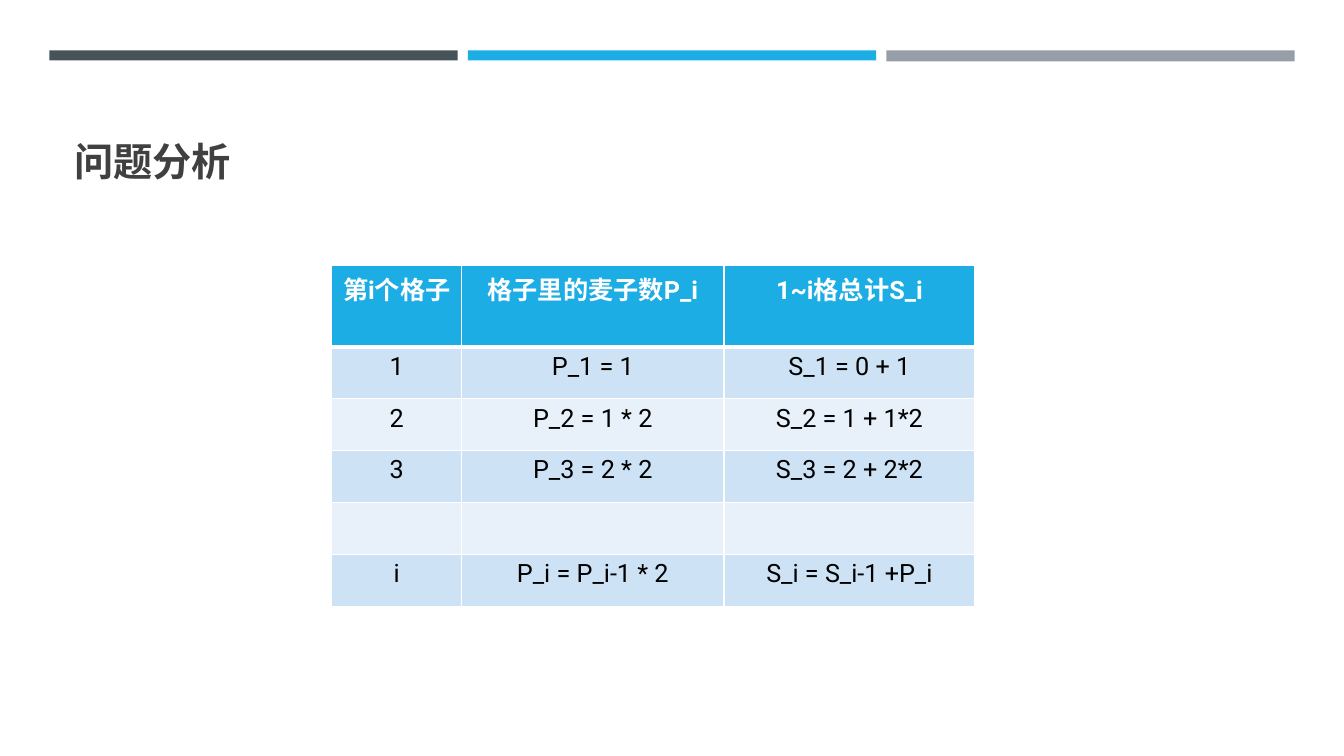
"""Builds the slide that analyses the wheat grains on a board."""
from lxml.etree import SubElement
from pptx import Presentation
from pptx.dml.color import RGBColor
from pptx.enum.shapes import MSO_SHAPE
from pptx.enum.text import MSO_ANCHOR, PP_ALIGN
from pptx.oxml import parse_xml
from pptx.oxml.ns import nsdecls, qn
from pptx.util import Inches, Pt

SLATE = RGBColor(0x46, 0x53, 0x59)
BLUE = RGBColor(0x1C, 0xAD, 0xE4)
GREY = RGBColor(0x96, 0x9F, 0xA7)
INK = RGBColor(0x40, 0x40, 0x40)
WHITE = RGBColor(0xFF, 0xFF, 0xFF)
BLACK = RGBColor(0, 0, 0)
MID = RGBColor(0xCD, 0xE3, 0xF5)
PALE = RGBColor(0xE8, 0xF1, 0xFA)
HAN = "Noto Sans CJK SC"


def write(frame, text, size=18, font="Roboto", color=BLACK, bold=False, align=PP_ALIGN.CENTER):
    para = frame.paragraphs[0]
    para.alignment = align
    run = para.add_run()
    run.text = text
    run.font.size = Pt(size)
    run.font.name = font
    run.font.bold = bold
    run.font.color.rgb = color
    SubElement(run.font._element, qn("a:ea")).set("typeface", HAN)


def edge(cell, widths):
    props = cell._tc.get_or_add_tcPr()
    for spot, (side, width) in enumerate(zip("LRTB", widths)):
        props.insert(spot, parse_xml(
            f'<a:ln{side} {nsdecls("a")} w="{Pt(width)}"><a:solidFill>'
            f'<a:srgbClr val="{WHITE}"/></a:solidFill></a:ln{side}>'))


deck = Presentation()
deck.slide_width, deck.slide_height = Inches(13.33), Inches(7.5)
slide = deck.slides.add_slide(deck.slide_layouts[6])

for i, (color, height) in enumerate([(SLATE, 0.1), (BLUE, 0.1), (GREY, 0.11)]):
    bar = slide.shapes.add_shape(MSO_SHAPE.RECTANGLE, Inches(0.49 + i * 4.15), Inches(0.5),
                                 Inches(4.05), Inches(height))
    bar.shadow.inherit = False
    bar.fill.solid()
    bar.fill.fore_color.rgb = color
    bar.line.fill.background()

title = slide.shapes.add_textbox(Inches(0.64), Inches(0.8), Inches(12.06), Inches(1.08)).text_frame
title.word_wrap = True
title.vertical_anchor = MSO_ANCHOR.BOTTOM
write(title, "问题分析", size=28, font=HAN, color=INK, bold=True, align=PP_ALIGN.LEFT)

rows = [
    ("第i个格子", "格子里的麦子数P_i", "1~i格总计S_i"),
    ("1", "P_1 = 1", "S_1 = 0 + 1"),
    ("2", "P_2 = 1 * 2", "S_2 = 1 + 1*2"),
    ("3", "P_3 = 2 * 2", "S_3 = 2 + 2*2"),
    ("", "", ""),
    ("i", "P_i = P_i-1 * 2", "S_i = S_i-1 +P_i"),
]
grid = slide.shapes.add_table(len(rows), 3, Inches(3.29), Inches(2.63),
                              Inches(6.38), Inches(3.09)).table
grid.rows[0].height = Inches(0.81)
for col, width in zip(grid.columns, (1.29, 2.6, 2.49)):
    col.width = Inches(width)

for r, row in enumerate(rows):
    head = r == 0
    for c, text in enumerate(row):
        cell = grid.cell(r, c)
        edge(cell, (1, 1, 3 if r == 1 else 1, 3 if head else 1))
        cell.fill.solid()
        cell.fill.fore_color.rgb = BLUE if head else MID if r % 2 else PALE
        if text:
            write(cell.text_frame, text, color=WHITE if head else BLACK, bold=head)

deck.save("out.pptx")
